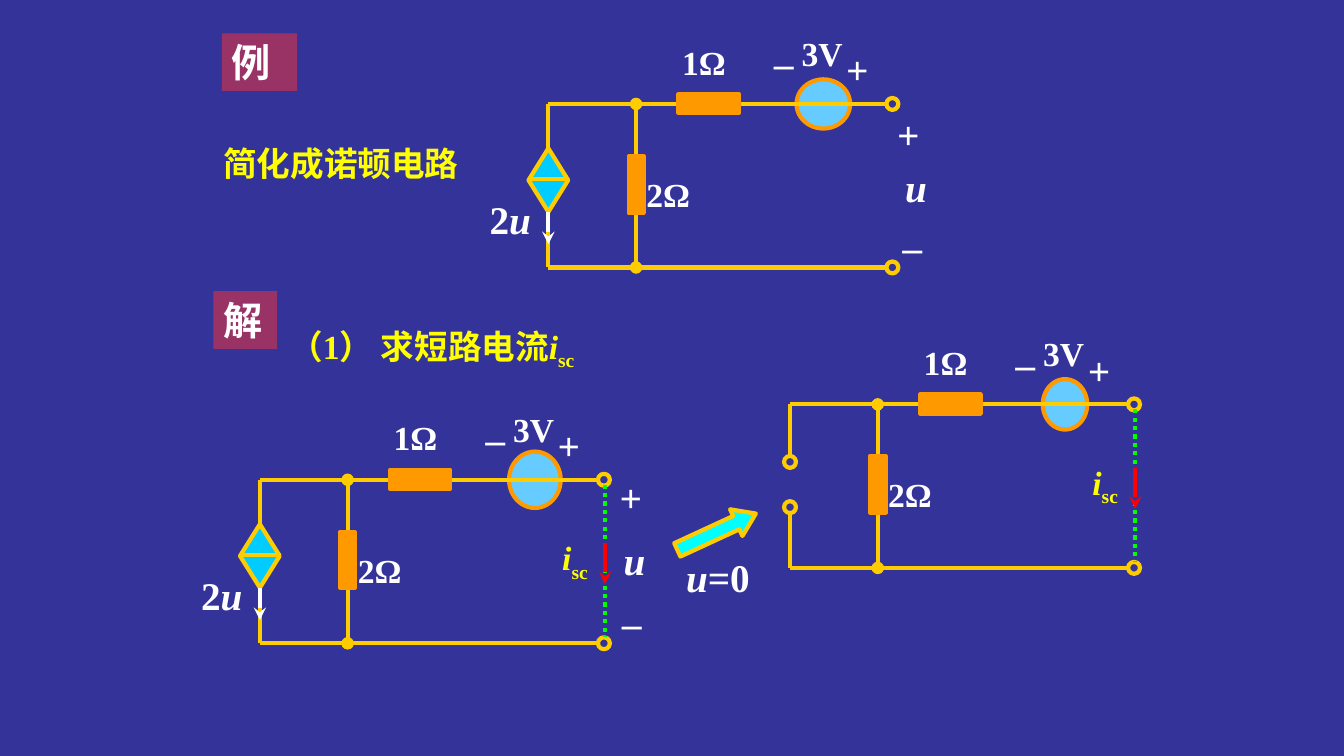
import pptx
import pptx.dml.color
import pptx.enum.dml
import pptx.enum.shapes
import pptx.oxml
import pptx.oxml.ns
import pptx.util
from lxml import etree

Cm = pptx.util.Cm
Pt = pptx.util.Pt
RGBColor = pptx.dml.color.RGBColor
SHAPE = pptx.enum.shapes.MSO_SHAPE

NAVY = RGBColor(0x33, 0x33, 0x99)
WINE = RGBColor(0x99, 0x33, 0x66)
WHITE = RGBColor(0xFF, 0xFF, 0xFF)
YELLOW = RGBColor(0xFF, 0xFF, 0x00)
GOLD = RGBColor(0xFF, 0xCC, 0x00)
ORANGE = RGBColor(0xFF, 0x99, 0x00)
SKY = RGBColor(0x66, 0xCC, 0xFF)
AZURE = RGBColor(0x00, 0xCC, 0xFF)
CYAN = RGBColor(0x00, 0xFF, 0xFF)
GREEN = RGBColor(0x00, 0xFF, 0x00)
RED = RGBColor(0xFF, 0x00, 0x00)


def add_part(container, kind, left, top, width, height, fill, outline, weight=3):
    """Add a preset shape; a fill of None leaves it hollow."""
    part = container.add_shape(kind, Cm(left), Cm(top), Cm(width), Cm(height))
    part.shadow.inherit = False
    if fill is None:
        part.fill.background()
    else:
        part.fill.solid()
        part.fill.fore_color.rgb = fill
    part.line.color.rgb = outline
    part.line.width = Pt(weight)
    return part


def add_wire(container, start, end, color=GOLD, head=None, tail=None, dash=None):
    """Add a straight line, with optional line ends and dash style."""
    wire = container.add_connector(
        pptx.enum.shapes.MSO_CONNECTOR.STRAIGHT,
        Cm(start[0]), Cm(start[1]), Cm(end[0]), Cm(end[1]))
    wire.line.color.rgb = color
    wire.line.width = Pt(3)
    if dash is not None:
        wire.line.dash_style = dash
    properties = wire._element.spPr
    outline = properties.find(pptx.oxml.ns.qn("a:ln"))
    for tag, ending in (("a:headEnd", head), ("a:tailEnd", tail)):
        if ending:
            etree.SubElement(outline, pptx.oxml.ns.qn(tag), type=ending)
    etree.SubElement(properties, pptx.oxml.ns.qn("a:effectLst"))


deck = pptx.Presentation()
deck.slide_width = Cm(33.87)
deck.slide_height = Cm(19.05)
slide = deck.slides.add_slide(deck.slide_layouts[6])
slide.background.fill.solid()
slide.background.fill.fore_color.rgb = NAVY

# Circuits: top-left corner, source size, driven by 2u, output shorted,
# and the places of the output marks +, u and _ relative to the corner
circuits = [
    (13.82, 2.62, 1.35, 1.24, True, False, [(8.53, 0.03), (8.74, 1.37), (8.74, 2.54)]),
    (19.91, 10.19, 1.12, 1.27, False, True, []),
    (6.55, 12.09, 1.3, 1.42, True, True, [(8.81, -0.3), (8.92, 1.3), (8.94, 2.54)]),
]
BOTTOM = 4.12
TERMINAL_X = 8.67
TERMINAL_SIZE = 0.3
BRANCH_X = 2.21
SOURCE_X = 6.93
SHORT_X = 8.7
current = [("i", "italic"), ("sc", "subscript")]

# Labels: container, left, top, width, height, size, color, runs
labels = []
for x, y, source_width, source_height, driven, shorted, output_marks in circuits:
    parts = slide.shapes.add_group_shape().shapes
    add_part(parts, SHAPE.OVAL, x + SOURCE_X - source_width / 2, y - source_height / 2,
             source_width, source_height, SKY, ORANGE)

    for level in (0, BOTTOM):
        add_wire(parts, (x, y + level), (x + TERMINAL_X - TERMINAL_SIZE / 2, y + level))
    add_wire(parts, (x + BRANCH_X, y), (x + BRANCH_X, y + BOTTOM), head="oval", tail="oval")
    left_wires = [(0, BOTTOM)] if driven else [(0, 1.35), (2.74, BOTTOM)]
    for start, end in left_wires:
        add_wire(parts, (x, y + start), (x, y + end))

    terminals = [(TERMINAL_X, 0), (TERMINAL_X, BOTTOM)]
    if not driven:
        terminals += [(0, 1.45), (0, 2.59)]
    for across, down in terminals:
        add_part(parts, SHAPE.OVAL, x + across - TERMINAL_SIZE / 2,
                 y + down - TERMINAL_SIZE / 2, TERMINAL_SIZE, TERMINAL_SIZE, None, GOLD)

    add_part(parts, SHAPE.RECTANGLE, x + 2.01, y + 1.3, 0.41, 1.45, ORANGE, ORANGE, 2.25)
    add_part(parts, SHAPE.RECTANGLE, x + 3.28, y - 0.25, 1.52, 0.48, ORANGE, ORANGE)

    marks = [
        (3.12, -1.7, 1.8, 1.27, 24, WHITE, [("1Ω", "")]),
        (2.22, 1.63, 1.8, 1.27, 24, WHITE, [("2Ω", "")]),
        (7.25, -1.6, 1.27, 1.45, 28, WHITE, [("+", "italic")]),
        (5.5, -2.1, 1.27, 1.45, 28, WHITE, [("_", "italic")]),
        (6.13, -1.92, 1.65, 1.27, 24, WHITE, [("3V", "")]),
    ]
    for (across, down), sign in zip(output_marks, "+u_"):
        marks.append((across, down, 1.27, 1.45, 28, WHITE, [(sign, "italic")]))

    if driven:
        add_part(parts, SHAPE.DIAMOND, x - 0.5, y + 1.12, 1, 1.6, AZURE, GOLD)
        add_wire(parts, (x - 0.47, y + 1.9), (x + 0.52, y + 1.9))
        add_wire(parts, (x, y + 2.72), (x, y + 3.53), WHITE, tail="stealth")
        marks.append((-1.73, 2.17, 1.73, 1.45, 28, WHITE, [("2", ""), ("u", "italic")]))

    if shorted:
        add_wire(parts, (x + SHORT_X, y + 0.12), (x + SHORT_X, y + 3.94), GREEN,
                 dash=pptx.enum.dml.MSO_LINE.ROUND_DOT)
        add_wire(parts, (x + SHORT_X, y + 1.6), (x + SHORT_X, y + 2.63), RED, tail="stealth")
        marks.append((7.37, 1.32, 1.22, 1.27, 24, YELLOW, current))

    labels += [(parts, x + across, y + down, *rest) for across, down, *rest in marks]

arrow = add_part(slide.shapes, SHAPE.RIGHT_ARROW, 16.97, 13.03, 2.18, 0.74, CYAN, GOLD)
arrow.rotation = 335.2
arrow.adjustments[0] = 0.5
arrow.adjustments[1] = 0.734

labels += [
    (slide.shapes, 5.59, 0.84, 1.9, 1.45, 28, WHITE, [("例", "")]),
    (slide.shapes, 5.38, 7.34, 1.6, 1.45, 28, WHITE, [("解", "")]),
    (slide.shapes, 5.38, 3.48, 7.14, 1.27, 24, YELLOW, [("简化成诺顿电路", "")]),
    (slide.shapes, 7.04, 8.08, 8.61, 1.27, 24, YELLOW, [("（1） 求短路电流", "")] + current),
    (slide.shapes, 17.04, 13.82, 2.57, 1.45, 28, WHITE, [("u", "italic"), ("=0", "")]),
]
for container, left, top, width, height, size, color, runs in labels:
    box = container.add_textbox(Cm(left), Cm(top), Cm(width), Cm(height))
    box.text_frame.word_wrap = runs is not current
    para = box.text_frame.paragraphs[0]
    para.font.name = "Times New Roman"
    para.font.size = Pt(size)
    para.font.bold = True
    para.font.color.rgb = color
    if runs[0][0] in ("例", "解"):
        box.fill.solid()
        box.fill.fore_color.rgb = WINE
        para.font.name = "Arial"
    for text, style in runs:
        span = para.add_run()
        span.text = text
        if style == "italic":
            span.font.italic = True
        elif style == "subscript":
            span._r.get_or_add_rPr().set("baseline", "-25000")

deck.save("out.pptx")
